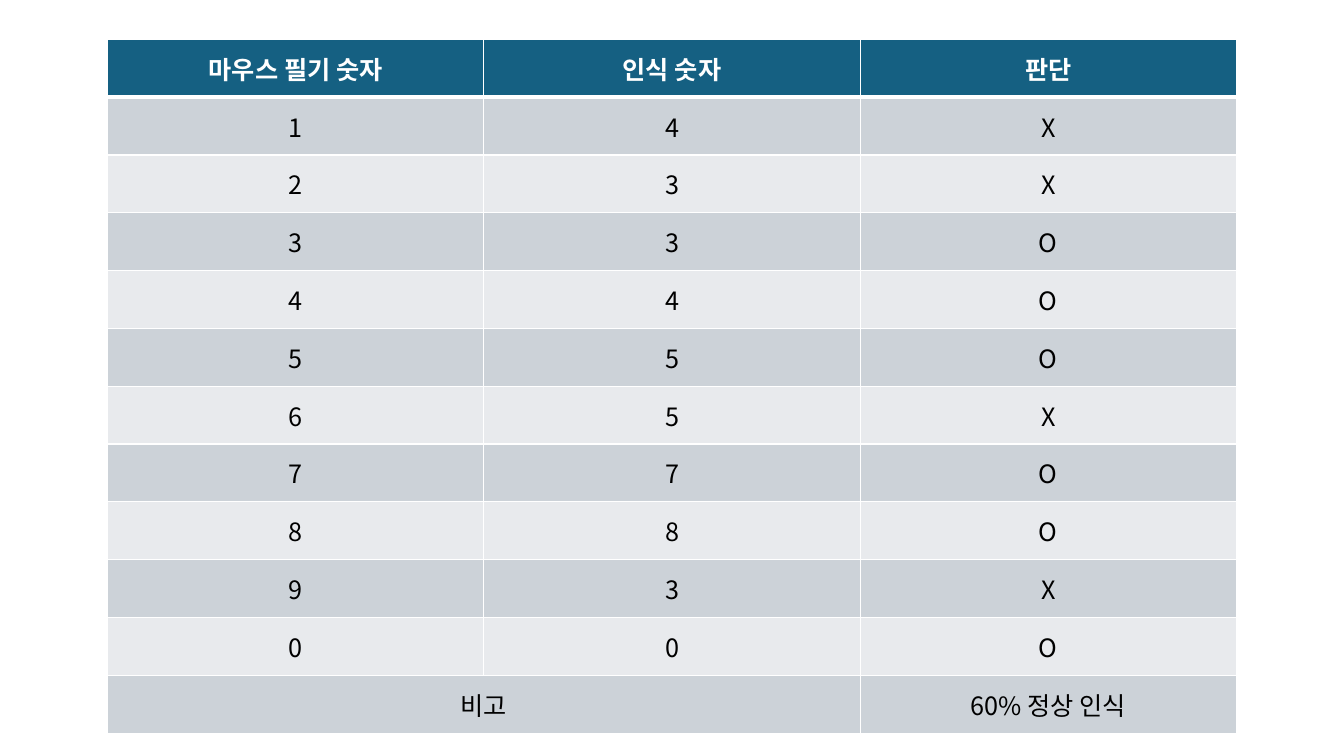
"""Build a slide with a table of handwritten digits and how they were recognised."""
import lxml.etree
import pptx
import pptx.dml.color
import pptx.enum.text
import pptx.oxml.ns
import pptx.util

WHITE = pptx.dml.color.RGBColor(0xFF, 0xFF, 0xFF)
BLACK = pptx.dml.color.RGBColor(0x00, 0x00, 0x00)
TEAL = pptx.dml.color.RGBColor(0x15, 0x60, 0x82)
GREY = pptx.dml.color.RGBColor(0xCC, 0xD2, 0xD8)
PALE = pptx.dml.color.RGBColor(0xE8, 0xEA, 0xED)

HEADINGS = ("마우스 필기 숫자", "인식 숫자", "판단")
WRITTEN = "1234567890"
RECOGNISED = "4334557830"
REMARK = ("비고", "", "60% 정상 인식")


class ResultSlide:
    """Hold the style, the grid and the current slide."""

    font = "Noto Sans CJK KR"
    size = pptx.util.Pt(18)
    grid_columns = 250
    grid_rows = 750
    rule = 1
    heading_rule = 3

    def __init__(self, deck):
        self.slide = deck.slides.add_slide(deck.slide_layouts[6])
        self.column = deck.slide_width / self.grid_columns
        self.row = deck.slide_height / self.grid_rows

    def table(self, records, left, top, column_width, row_height):
        """Place the records as a banded table under a heading row."""
        width, height = int(column_width * self.column), int(row_height * self.row)
        results = self.slide.shapes.add_table(
            len(records), len(records[0]), int(left * self.column), int(top * self.row),
            width * len(records[0]), height * len(records)).table
        for column in results.columns:
            column.width = width
        for index, record in enumerate(records):
            results.rows[index].height = height
            heading = index == 0
            fill = TEAL if heading else (GREY if index % 2 else PALE)
            rules = {
                "lnL": self.rule,
                "lnR": self.rule,
                "lnT": self.heading_rule if index == 1 else self.rule,
                "lnB": self.heading_rule if heading else self.rule,
            }
            for position, words in enumerate(record):
                cell = results.cell(index, position)
                cell.fill.solid()
                cell.fill.fore_color.rgb = fill
                cell.vertical_anchor = pptx.enum.text.MSO_ANCHOR.MIDDLE
                self.borders(cell, rules)
                if words:
                    self.text(cell, words, WHITE if heading else BLACK, heading)
        return results

    def text(self, cell, words, colour, bold):
        """Write centred words in a cell."""
        paragraph = cell.text_frame.paragraphs[0]
        paragraph.alignment = pptx.enum.text.PP_ALIGN.CENTER
        run = paragraph.add_run()
        run.text = words
        style = {"name": self.font, "size": self.size, "bold": bold}
        for attribute, value in style.items():
            setattr(run.font, attribute, value)
        run.font.color.rgb = colour
        east_asian = lxml.etree.SubElement(
            run.font._element, pptx.oxml.ns.qn("a:ea"))
        east_asian.set("typeface", self.font)

    def borders(self, cell, rules):
        """Draw white rules of the given point widths around a cell."""
        properties = cell._tc.get_or_add_tcPr()
        for order, (side, points) in enumerate(rules.items()):
            line = properties.makeelement(
                pptx.oxml.ns.qn(f"a:{side}"), {"w": str(pptx.util.Pt(points))})
            paint = lxml.etree.SubElement(line, pptx.oxml.ns.qn("a:solidFill"))
            lxml.etree.SubElement(
                paint, pptx.oxml.ns.qn("a:srgbClr"), {"val": str(WHITE)})
            properties.insert(order, line)


def main():
    deck = pptx.Presentation()
    deck.slide_width = pptx.util.Inches(13.33)
    deck.slide_height = pptx.util.Inches(7.5)
    trials = [(drawn, seen, "O" if drawn == seen else "X")
              for drawn, seen in zip(WRITTEN, RECOGNISED)]
    results = ResultSlide(deck).table(
        [HEADINGS, *trials, REMARK], left=20, top=39, column_width=70, row_height=57.4)
    remark_row = len(trials) + 1
    results.cell(remark_row, 0).merge(results.cell(remark_row, 1))
    deck.save("out.pptx")


if __name__ == "__main__":
    main()
